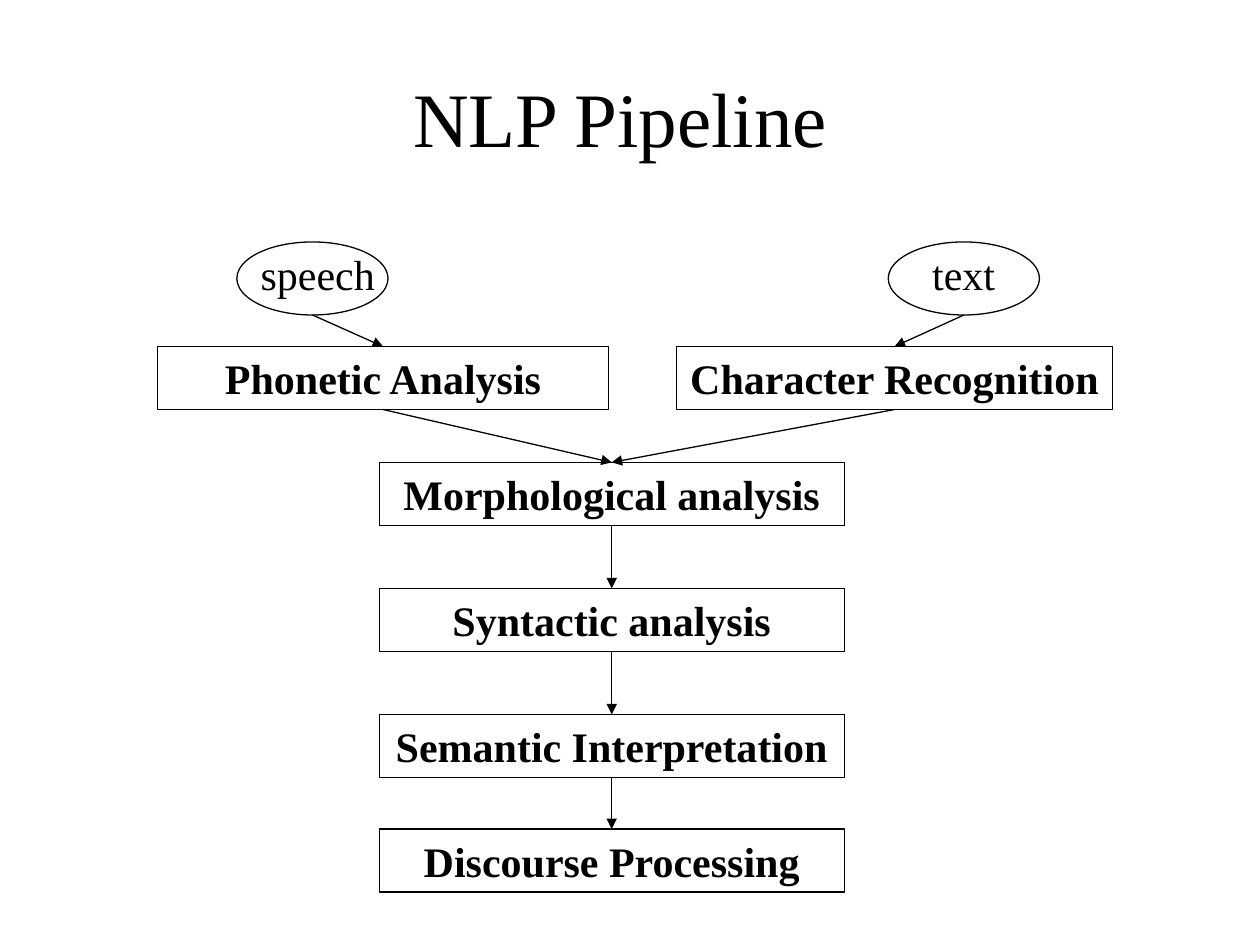
from dataclasses import dataclass

from lxml import etree
from pptx import Presentation
from pptx.dml.color import RGBColor
from pptx.enum.shapes import MSO_CONNECTOR, MSO_SHAPE
from pptx.enum.text import MSO_ANCHOR, PP_ALIGN
from pptx.oxml.ns import qn
from pptx.slide import Slide
from pptx.util import Inches, Pt

RECTANGLE, OVAL = MSO_SHAPE.RECTANGLE, MSO_SHAPE.OVAL
STRAIGHT = MSO_CONNECTOR.STRAIGHT
TOP, MIDDLE = MSO_ANCHOR.TOP, MSO_ANCHOR.MIDDLE
LEFT, CENTER = PP_ALIGN.LEFT, PP_ALIGN.CENTER
TOP_SIDE, BOTTOM_SIDE = 0, 2


def colour(value):
    """Turn a hex string into a colour."""
    return RGBColor.from_string(value)


@dataclass
class Diagram:
    """Draw the elements of a flow diagram in one style."""

    slide: Slide
    font: str = "Times New Roman"
    ink: str = "000000"
    paper: str = "FFFFFF"
    line_width: float = 0.75

    def set_text(self, shape, text, size, bold=False, align=CENTER, anchor=MIDDLE, wrap=False):
        """Put one formatted paragraph into a shape."""
        frame = shape.text_frame
        frame.text = text
        frame.word_wrap = wrap
        frame.vertical_anchor = anchor
        paragraph = frame.paragraphs[0]
        paragraph.alignment = align
        font = paragraph.runs[0].font
        font.name, font.size, font.bold = self.font, Pt(size), bold
        font.color.rgb = colour(self.ink)

    def outline(self, item):
        """Give a shape or connector the standard line."""
        item.line.color.rgb = colour(self.ink)
        item.line.width = Pt(self.line_width)

    def label(self, text, left, top, width, height, size, **style):
        """Add a text box."""
        box = self.slide.shapes.add_textbox(
            Inches(left), Inches(top), Inches(width), Inches(height))
        self.set_text(box, text, size, wrap=True, **style)

    def stage(self, text, left, top, width, height=0.5):
        """Add a boxed processing stage."""
        shape = self.slide.shapes.add_shape(
            RECTANGLE, Inches(left), Inches(top), Inches(width), Inches(height))
        shape.shadow.inherit = False
        shape.fill.solid()
        shape.fill.fore_color.rgb = colour(self.paper)
        self.outline(shape)
        self.set_text(shape, text, 24, bold=True)
        return shape

    def source(self, text, left, text_left, top=1.92, width=1.2, height=0.58):
        """Add an input oval with its label."""
        self.label(text, text_left, top, 1.28, 0.5, 24, align=LEFT, anchor=TOP)
        oval = self.slide.shapes.add_shape(
            OVAL, Inches(left), Inches(top), Inches(width), Inches(height))
        oval.shadow.inherit = False
        oval.fill.background()
        self.outline(oval)
        return oval

    def arrow(self, start, end):
        """Point from the bottom of one shape to the top of a stage."""
        connector = self.slide.shapes.add_connector(
            STRAIGHT, start.left + start.width // 2, start.top + start.height,
            end.left + end.width // 2, end.top)
        if start.auto_shape_type == RECTANGLE:
            connector.begin_connect(start, BOTTOM_SIDE)
        connector.end_connect(end, TOP_SIDE)
        self.outline(connector)
        properties = connector.line._get_or_add_ln()
        etree.SubElement(properties, qn("a:tailEnd"), type="triangle")
        etree.SubElement(connector._element.spPr, qn("a:effectLst"))


def main():
    """Build and save the slide."""
    presentation = Presentation()
    presentation.slide_width, presentation.slide_height = Inches(10), Inches(7.5)
    slide = presentation.slides.add_slide(presentation.slide_layouts[6])
    diagram = Diagram(slide)
    diagram.label("NLP Pipeline ", 0.5, 0.3, 9, 1.25, 44)

    phonetic = diagram.stage("Phonetic Analysis", 1.25, 2.75, 3.58)
    character = diagram.stage("Character Recognition", 5.37, 2.75, 3.46)
    analyses = [
        diagram.stage(text, 3.01, top, 3.69)
        for text, top in (
            ("Morphological analysis", 3.67),
            ("Syntactic analysis", 4.67),
            ("Semantic Interpretation", 5.67),
            ("Discourse Processing", 6.58),
        )
    ]
    speech = diagram.source("speech", 1.88, 1.97)
    text = diagram.source("text", 7.05, 7.3)

    links = [(speech, phonetic), (text, character),
             (phonetic, analyses[0]), (character, analyses[0])]
    for start, end in links + list(zip(analyses, analyses[1:])):
        diagram.arrow(start, end)
    presentation.save("out.pptx")


if __name__ == "__main__":
    main()
